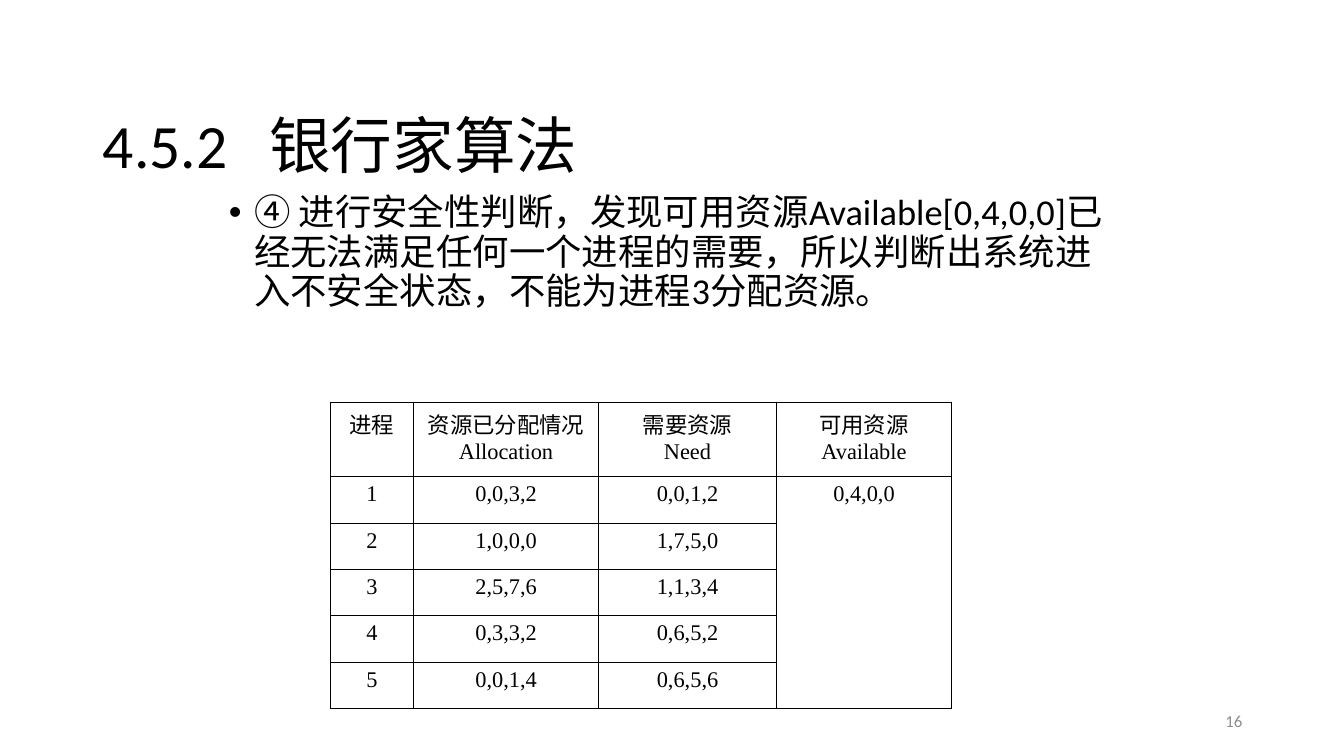
from lxml.etree import SubElement
from pptx import Presentation
from pptx.dml.color import RGBColor
from pptx.enum.text import MSO_ANCHOR as Anchor, MSO_AUTO_SIZE as Fit, PP_ALIGN as Align
from pptx.oxml.ns import qn
from pptx.util import Inches, Pt

BLACK = RGBColor(0x00, 0x00, 0x00)
GRAY = RGBColor(0x8C, 0x8C, 0x8C)
SANS = "Calibri"
SERIF = "Times New Roman"

WIDTHS = [0.82, 1.84, 1.76, 1.74]
HEAD_H, ROW_H = 0.74, 0.46
ROWS = [
    ["进程", "资源已分配情况\nAllocation", "需要资源\nNeed", "可用资源\nAvailable"],
    ["1", "0,0,3,2", "0,0,1,2", "0,4,0,0"],
    ["2", "1,0,0,0", "1,7,5,0", ""],
    ["3", "2,5,7,6", "1,1,3,4", ""],
    ["4", "0,3,3,2", "0,6,5,2", ""],
    ["5", "0,0,1,4", "0,6,5,6", ""],
]


def place(shape, left, top, width, height):
    shape.left, shape.top = Inches(left), Inches(top)
    shape.width, shape.height = Inches(width), Inches(height)


def style(para, size, name, color, align):
    para.alignment = align
    para.font.size = Pt(size)
    para.font.name = name
    para.font.color.rgb = color


def fill_holder(shape, text, size, anchor):
    """Write one left-aligned paragraph into a placeholder and return it."""
    frame = shape.text_frame
    frame.text = text
    frame.word_wrap = True
    frame.auto_size = Fit.NONE
    frame.vertical_anchor = anchor
    para = frame.paragraphs[0]
    para.line_spacing = 0.9
    return para


def add_title(slide):
    title = slide.shapes.title
    place(title, 0.92, 0.4, 11.5, 1.45)
    para = fill_holder(title, "4.5.2\t银行家算法", 44, Anchor.BOTTOM)
    tabs = SubElement(para._p.get_or_add_pPr(), qn("a:tabLst"))
    SubElement(tabs, qn("a:tab"), pos=str(Inches(1.65)), algn="l")
    style(para, 44, SANS, BLACK, Align.LEFT)


def add_body(slide):
    body = slide.placeholders[1]
    place(body, 2.17, 1.88, 8.99, 4.82)
    text = ("④ 进行安全性判断，发现可用资源Available[0,4,0,0]已经无法满足任何一个进程的需要，"
            "所以判断出系统进入不安全状态，不能为进程3分配资源。")
    para = fill_holder(body, text, 26, Anchor.TOP)
    para.space_before = Pt(0)
    props = para._p.get_or_add_pPr()
    props.set("marL", str(Inches(0.25)))
    props.set("indent", str(Inches(-0.25)))
    SubElement(props, qn("a:buFont"), typeface="Arial")
    SubElement(props, qn("a:buChar"), char="•")
    style(para, 26, SANS, BLACK, Align.LEFT)


def set_border(cell):
    props = cell._tc.get_or_add_tcPr()
    for side in ("lnL", "lnR", "lnT", "lnB"):
        line = SubElement(props, qn(f"a:{side}"), w=str(Pt(1)))
        fill = SubElement(line, qn("a:solidFill"))
        SubElement(fill, qn("a:srgbClr"), val=str(BLACK))


def add_grid(slide):
    height = HEAD_H + ROW_H * (len(ROWS) - 1)
    frame = slide.shapes.add_table(
        len(ROWS), len(WIDTHS), Inches(3.28), Inches(3.99),
        Inches(sum(WIDTHS)), Inches(height))
    table = frame.table
    table.first_row = table.horz_banding = False
    for col, width in zip(table.columns, WIDTHS):
        col.width = Inches(width)
    for i, (row, texts) in enumerate(zip(table.rows, ROWS)):
        row.height = Inches(ROW_H if i else HEAD_H)
        for cell, text in zip(row.cells, texts):
            cell.text = text
            set_border(cell)
            cell.fill.background()
            for para in cell.text_frame.paragraphs:
                style(para, 16, SERIF, BLACK, Align.CENTER)
    table.cell(1, 3).merge(table.cell(len(ROWS) - 1, 3))


def add_number(slide):
    box = slide.shapes.add_textbox(
        Inches(9.42), Inches(6.95), Inches(3), Inches(0.4))
    frame = box.text_frame
    frame.text = "16"
    frame.word_wrap = True
    frame.vertical_anchor = Anchor.MIDDLE
    style(frame.paragraphs[0], 12, SANS, GRAY, Align.RIGHT)


def main():
    deck = Presentation()
    deck.slide_width, deck.slide_height = Inches(13.33), Inches(7.5)
    slide = deck.slides.add_slide(deck.slide_layouts[1])
    add_title(slide)
    add_body(slide)
    add_grid(slide)
    add_number(slide)
    deck.save("out.pptx")


if __name__ == "__main__":
    main()
